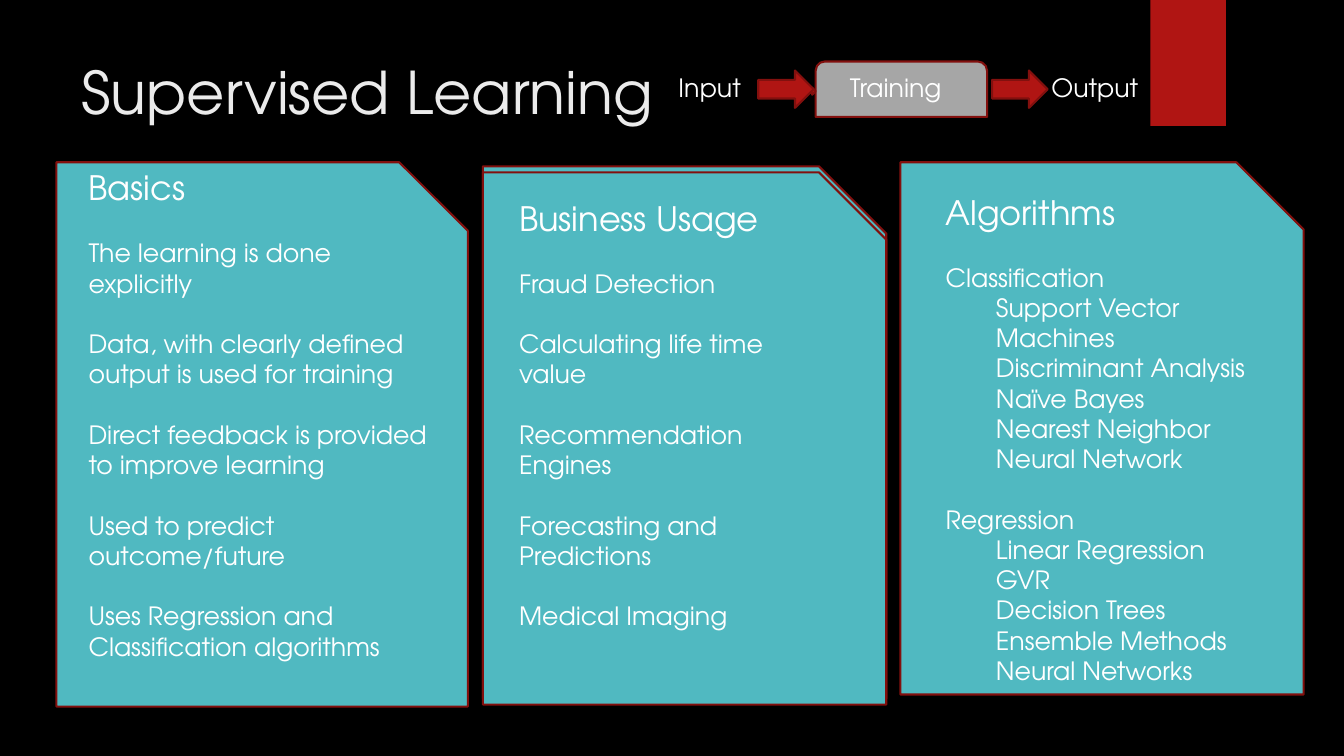
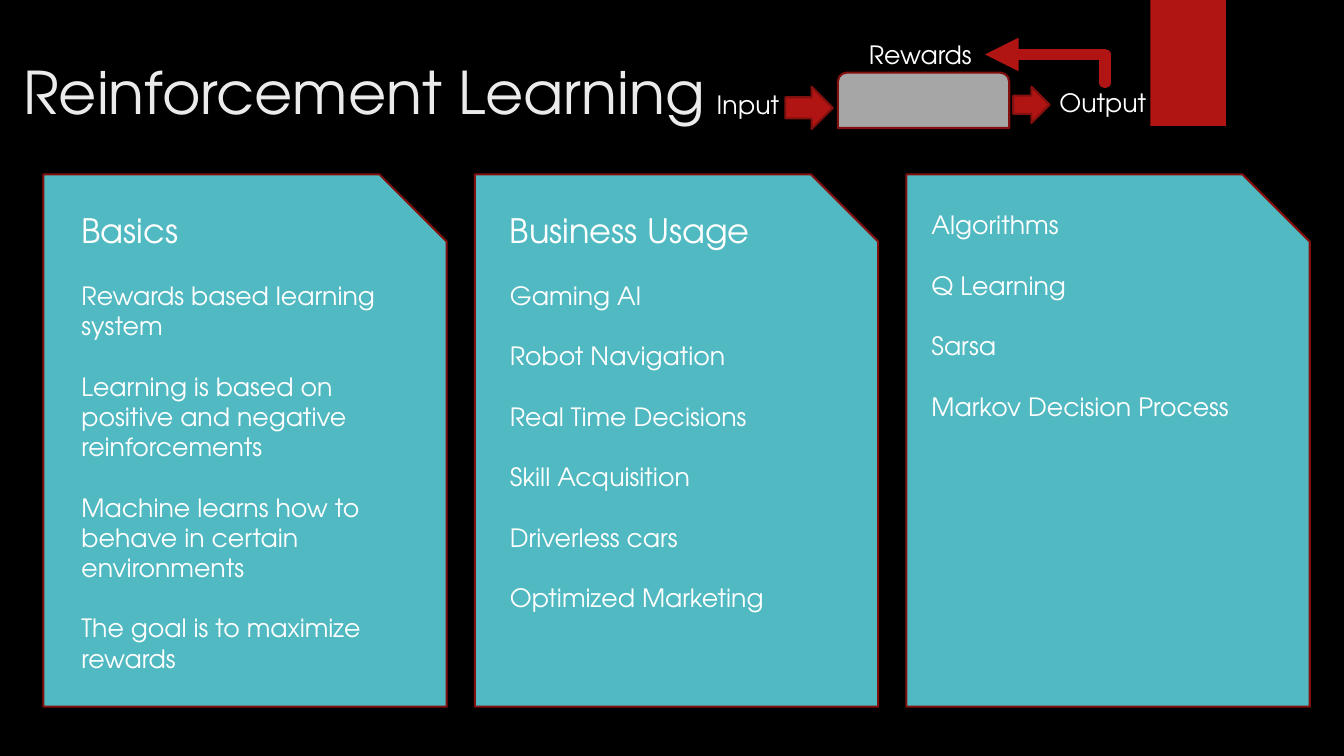
from dataclasses import dataclass

from lxml import etree
from pptx import Presentation
from pptx.dml.color import RGBColor
from pptx.enum.shapes import MSO_CONNECTOR as Connector, MSO_SHAPE as Shape
from pptx.enum.text import MSO_ANCHOR as Anchor, MSO_AUTO_SIZE as AutoSize, PP_ALIGN as Align
from pptx.oxml.ns import qn
from pptx.util import Inches, Pt


@dataclass(frozen=True)
class Theme:
    font: str = "TeX Gyre Adventor"
    background: str = "000000"
    accent: str = "B01513"
    outline: str = "82100E"
    panel: str = "50B9C1"
    stage: str = "A6A6A6"
    title: str = "EBEBEB"
    text: str = "FFFFFF"
    title_size: float = 42
    heading_size: float = 24
    body_size: float = 18
    gap: float = 21.6
    outline_width: float = 1.5
    feedback_width: float = 8


THEME = Theme()
BAND = (11.41, 0, 0.75, 1.25)
TITLE_TOP, TITLE_HEIGHT, TITLE_RIGHT = 0.5, 1.53, 11
PANEL_SIZE = (4, 5.28)
STAGE_SIZE = (1.7, 0.55)
LABEL_HEIGHT = 0.4
CHILD_INDENT = 0.5

# Content: an item is a text, or a text with a list of children
SLIDES = [
    {
        "title": "Supervised Learning",
        "title_left": 0.71,
        "panels": [(0.56, 1.61, 4.08, 5.4), (4.79, 1.65, *PANEL_SIZE),
                   (4.79, 1.71, *PANEL_SIZE), (8.93, 1.61, *PANEL_SIZE)],
        "columns": [
            {"at": (0.78, 1.61, 3.64), "heading": "Basics", "items": [
                "The learning is done explicitly",
                "Data, with clearly defined output is used for training",
                "Direct feedback is provided to improve learning",
                "Used to predict outcome/future",
                "Uses Regression and Classification algorithms"]},
            {"at": (5.05, 1.91, 3.24), "heading": "Business Usage", "items": [
                "Fraud Detection", "Calculating life time value",
                "Recommendation Engines", "Forecasting and Predictions",
                "Medical Imaging"]},
            {"at": (9.28, 1.85, 3.35), "heading": "Algorithms", "items": [
                ("Classification", [
                    "Support Vector Machines", "Discriminant Analysis",
                    "Naïve Bayes", "Nearest Neighbor", "Neural Network"]),
                ("Regression", [
                    "Linear Regression", "GVR", "Decision Trees",
                    "Ensemble Methods", "Neural Networks"])]},
        ],
        "stage": (8.09, 0.61),
        "arrows": [(7.87, 0.87, 0.22, 0.07), (7.52, 0.7, 0.55, 0.37),
                   (9.84, 0.7, 0.55, 0.37)],
        "labels": [("Input", 6.63, 0.67, 0.98), ("Training", 8.33, 0.67, 1.15),
                   ("Output", 10.33, 0.67, 1.1)],
    },
    {
        "title": "Reinforcement Learning",
        "title_left": 0.13,
        "panels": [(0.43 + 4.28 * column, 1.73, *PANEL_SIZE) for column in range(3)],
        "columns": [
            {"at": (0.71, 2.03, 3.22), "heading": "Basics", "items": [
                "Rewards based learning system",
                "Learning is based on positive and negative reinforcements",
                "Machine learns how to behave in certain environments",
                "The goal is to maximize rewards"]},
            {"at": (4.96, 2.03, 3.53), "heading": "Business Usage", "items": [
                "Gaming AI", "Robot Navigation", "Real Time Decisions",
                "Skill Acquisition", "Driverless cars", "Optimized Marketing"]},
            {"at": (9.14, 2.03, 3.48), "heading": "Algorithms",
             "heading_size": THEME.body_size,
             "items": ["Q Learning", "Sarsa", "Markov Decision Process"]},
        ],
        "stage": (8.31, 0.72),
        "arrows": [(7.79, 0.86, 0.47, 0.42), (10.05, 0.86, 0.36, 0.36)],
        "labels": [("Input", 7.01, 0.84, 0.98), ("Output", 10.41, 0.82, 1.1),
                   ("Rewards", 8.52, 0.34, 1.25)],
        "feedback": ((10.96, 0.82), (9.77, 0.54)),
    },
]


def color(value):
    return RGBColor.from_string(value)


def inches(values):
    return [Inches(value) for value in values]


def apply(target, formats):
    for name, value in formats.items():
        setattr(target, name, value)


def add_block(page, kind, at, fill, outlined=True):
    block = page.shapes.add_shape(kind, *inches(at))
    block.shadow.inherit = False
    block.fill.solid()
    block.fill.fore_color.rgb = color(fill)
    if outlined:
        block.line.color.rgb = color(THEME.outline)
        block.line.width = Pt(THEME.outline_width)
    else:
        block.line.fill.background()
    return block


def write(para, text, size, ink=THEME.text):
    para.alignment = Align.LEFT
    span = para.add_run()
    span.text = text
    apply(span.font, {"name": THEME.font, "size": Pt(size)})
    span.font.color.rgb = color(ink)


def add_text(page, at, lines):
    """Each line is (text, size, space before, level)."""
    frame = page.shapes.add_textbox(*inches(at)).text_frame
    apply(frame, {"word_wrap": True, "auto_size": AutoSize.NONE,
                  "vertical_anchor": Anchor.TOP})
    for index, (text, size, gap, level) in enumerate(lines):
        para = frame.add_paragraph() if index else frame.paragraphs[0]
        apply(para, {"level": level, "space_before": Pt(gap)})
        if level:
            para._p.get_or_add_pPr().set("marL", str(Inches(CHILD_INDENT)))
        write(para, text, size)


def column_lines(column):
    yield column["heading"], column.get("heading_size", THEME.heading_size), 0, 0
    for item in column["items"]:
        text, children = (item, []) if isinstance(item, str) else item
        yield text, THEME.body_size, THEME.gap, 0
        for child in children:
            yield child, THEME.body_size, 0, 1


def add_feedback(page, start, end):
    """Elbow that rises from start, then runs left to an arrowhead at end."""
    run, rise = start[0] - end[0], start[1] - end[1]
    middle_x, middle_y = (start[0] + end[0]) / 2, (start[1] + end[1]) / 2
    # The frame is a quarter turn away from the drawn elbow
    elbow = page.shapes.add_connector(Connector.ELBOW, *inches((
        middle_x - rise / 2, middle_y + run / 2,
        middle_x + rise / 2, middle_y - run / 2)))
    elbow.line.color.rgb = color(THEME.accent)
    elbow.line.width = Pt(THEME.feedback_width)
    props = elbow.element.spPr
    props.find(qn("a:xfrm")).set("rot", str(270 * 60000))
    props.find(qn("a:prstGeom")).set("prst", "bentConnector2")
    stroke = props.find(qn("a:ln"))
    stroke.set("cap", "rnd")
    etree.SubElement(stroke, qn("a:round"))
    etree.SubElement(stroke, qn("a:tailEnd")).set("type", "triangle")
    etree.SubElement(props, qn("a:effectLst"))


def style_layout(deck, layout):
    """Shared background and red band."""
    fill = deck.slide_master.background.fill
    fill.solid()
    fill.fore_color.rgb = color(THEME.background)
    for holder in list(layout.placeholders):
        if holder.placeholder_format.idx:
            holder.element.getparent().remove(holder.element)


def add_title(page, text, left):
    title = page.shapes.title
    at = dict(left=left, top=TITLE_TOP, width=TITLE_RIGHT - left, height=TITLE_HEIGHT)
    apply(title, {name: Inches(value) for name, value in at.items()})
    apply(title.text_frame, {"vertical_anchor": Anchor.TOP, "word_wrap": True,
                             "auto_size": AutoSize.NONE})
    write(title.text_frame.paragraphs[0], text, THEME.title_size, THEME.title)


def add_page(deck, layout, content):
    page = deck.slides.add_slide(layout)
    add_title(page, content["title"], content["title_left"])

    # Panels and their lists
    for panel in content["panels"]:
        add_block(page, Shape.SNIP_1_RECTANGLE, panel, THEME.panel)
    bottom = max(top + height for _, top, _, height in content["panels"])
    for column in content["columns"]:
        left, top, width = column["at"]
        add_text(page, (left, top, width, bottom - top), column_lines(column))

    # Process diagram
    add_block(page, Shape.ROUND_2_SAME_RECTANGLE,
              (*content["stage"], *STAGE_SIZE), THEME.stage)
    for arrow in content["arrows"]:
        add_block(page, Shape.RIGHT_ARROW, arrow, THEME.accent)
    for text, *place in content["labels"]:
        add_text(page, (*place, LABEL_HEIGHT), [(text, THEME.body_size, 0, 0)])
    if "feedback" in content:
        add_feedback(page, *content["feedback"])
    return page


def main():
    deck = Presentation()
    apply(deck, {"slide_width": Inches(13.33), "slide_height": Inches(7.5)})
    layout = deck.slide_layouts.get_by_name("Title Only")
    style_layout(deck, layout)
    pages = [add_page(deck, layout, content) for content in SLIDES]

    # The band is drawn once and moved to the shared layout
    band = add_block(pages[0], Shape.RECTANGLE, BAND, THEME.accent, outlined=False)
    layout.shapes.element.append(band.element)
    deck.save("out.pptx")


if __name__ == "__main__":
    main()
